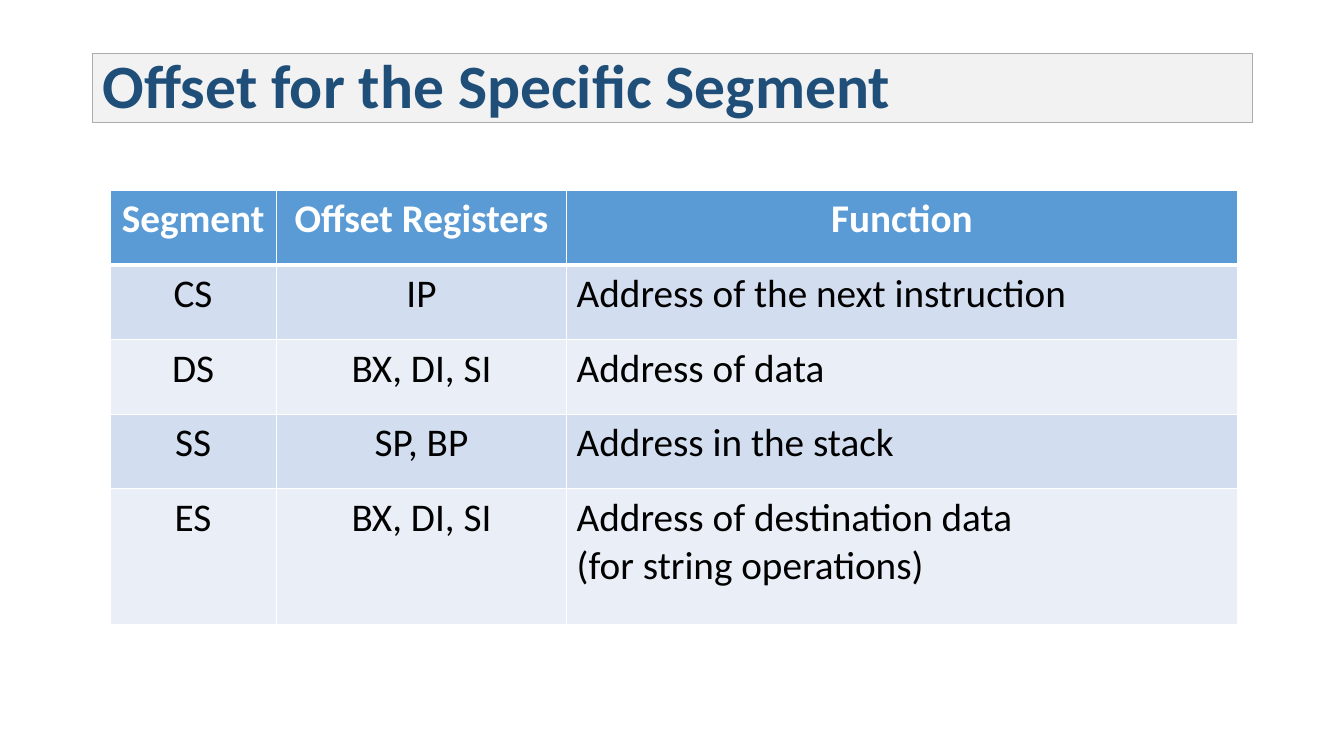
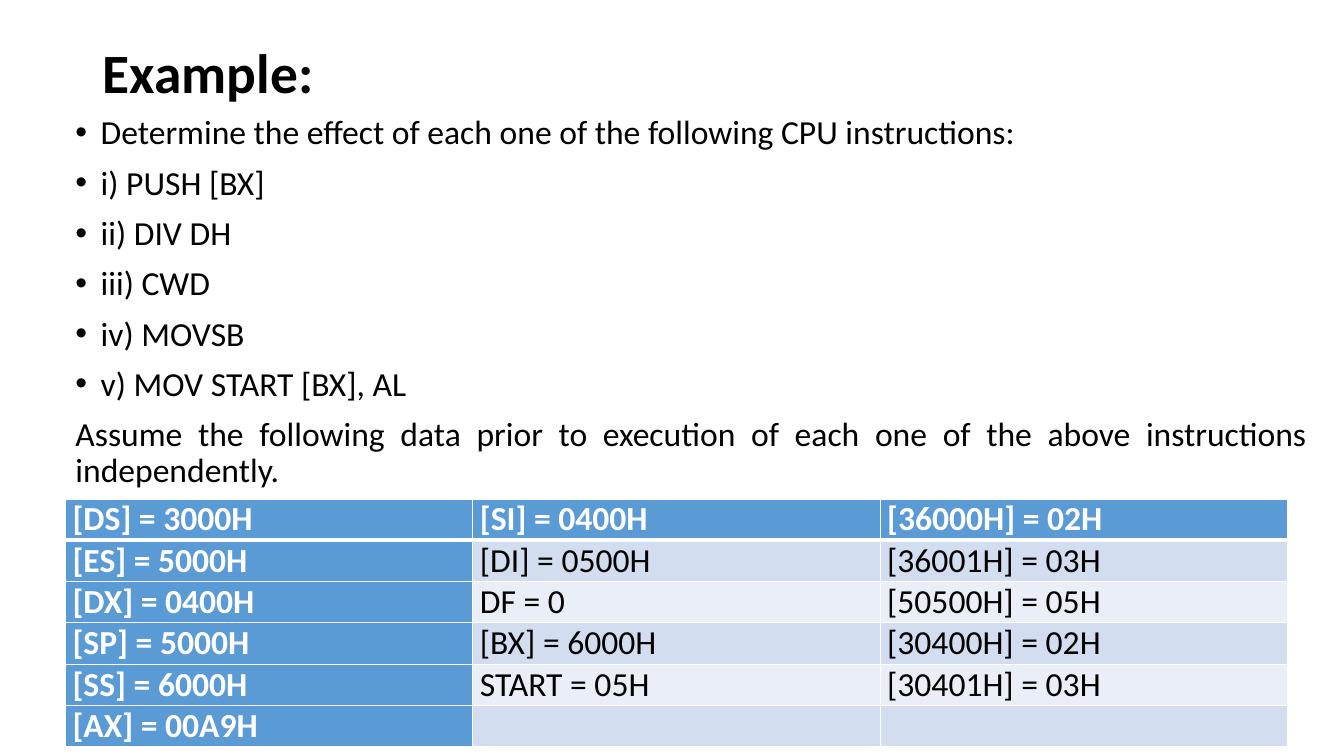
"""Build two slides on segment offsets and an instruction example."""
from dataclasses import dataclass

from lxml import etree
from pptx import Presentation
from pptx.dml.color import RGBColor
from pptx.enum import text
from pptx.oxml import ns
from pptx.util import Inches, Pt

FONT = "Calibri"
WHITE = RGBColor(0xFF, 0xFF, 0xFF)
BLACK = RGBColor(0x00, 0x00, 0x00)
NAVY = RGBColor(0x1F, 0x4E, 0x79)
PANEL = RGBColor(0xF2, 0xF2, 0xF2)
PANEL_LINE = RGBColor(0xAF, 0xAB, 0xAB)
HEADER = RGBColor(0x5B, 0x9B, 0xD5)
BANDS = (RGBColor(0xEA, 0xEF, 0xF7), RGBColor(0xD2, 0xDE, 0xEF))
LEFT, CENTER = text.PP_ALIGN.LEFT, text.PP_ALIGN.CENTER
LINE_SPACING = 0.9


@dataclass(frozen=True)
class Title:
    """Wording and look of a slide title."""
    wording: str
    top: float
    height: float
    size: float
    color: RGBColor
    boxed: bool = False


@dataclass(frozen=True)
class Grid:
    """Contents and layout of a table, with lengths in inches."""
    left: float
    top: float
    widths: tuple[float, ...]
    heights: tuple[float, ...]
    rows: tuple[tuple[str, ...], ...]
    aligns: tuple[text.PP_ALIGN, ...]
    size: float
    label_column: bool = False
    margins: tuple[float, float] = (0.1, 0.05)


SEGMENT_TITLE = Title("Offset for the Specific Segment", 0.53, 0.69, 44, NAVY, True)
EXAMPLE_TITLE = Title("Example:", 0.4, 0.7, 39.6, BLACK)

SEGMENT_GRID = Grid(
    1.09, 1.89, (1.65, 2.88, 6.65), (0.74,) * 4 + (1.35,),
    (
        ("Segment", "Offset Registers", "Function"),
        ("CS", "IP", "Address of the next instruction"),
        ("DS", "BX, DI, SI", "Address of data"),
        ("SS", "SP, BP", "Address in the stack"),
        ("ES", "BX, DI, SI", "Address of destination data\n(for string operations)"),
    ),
    (CENTER, CENTER, LEFT), 28,
)
DATA_GRID = Grid(
    0.65, 4.95, (4.04,) * 3, (0.41,) * 6,
    (
        ("[DS] = 3000H", "[SI] = 0400H", "[36000H] = 02H"),
        ("[ES] = 5000H", "[DI] = 0500H", "[36001H] = 03H"),
        ("[DX] = 0400H", "DF = 0", "[50500H] = 05H"),
        ("[SP] = 5000H", "[BX] = 6000H", "[30400H] = 02H"),
        ("[SS] = 6000H", "START = 05H", "[30401H] = 03H"),
        ("[AX] = 00A9H", "", ""),
    ),
    (LEFT,) * 3, 24, label_column=True, margins=(0.07, 0),
)

BULLETS = (
    "Determine the effect of each one of the following CPU instructions:",
    "i) PUSH [BX]",
    "ii) DIV DH",
    "iii) CWD",
    "iv) MOVSB",
    "v) MOV START [BX], AL",
)
ASSUMPTION = ("Assume the following data prior to execution of each one of "
              "the above instructions independently.")


def add_run(p, wording: str, size: float, color: RGBColor, bold: bool = False) -> None:
    """Append a formatted run to a paragraph."""
    r = p.add_run()
    r.text = wording
    r.font.name, r.font.size, r.font.bold = FONT, Pt(size), bold
    r.font.color.rgb = color


def add_titled_slide(prs, title: Title):
    """Add a title-only slide and format its title."""
    s = prs.slides.add_slide(prs.slide_layouts[5])
    sp = s.shapes.title
    sp.left, sp.top = Inches(0.92), Inches(title.top)
    sp.width, sp.height = Inches(11.5), Inches(title.height)
    if title.boxed:
        sp.fill.solid()
        sp.fill.fore_color.rgb = PANEL
        sp.line.color.rgb = PANEL_LINE
        sp.line.width = Pt(0.75)
    tf = sp.text_frame
    tf.word_wrap = True
    tf.auto_size = text.MSO_AUTO_SIZE.NONE
    tf.vertical_anchor = text.MSO_ANCHOR.MIDDLE
    p = tf.paragraphs[0]
    p.alignment, p.line_spacing = LEFT, LINE_SPACING
    add_run(p, title.wording, title.size, title.color, True)
    return s


def add_bullet(p) -> None:
    """Give a paragraph a hanging round bullet."""
    props = p._p.get_or_add_pPr()
    props.set("marL", str(Inches(0.25)))
    props.set("indent", str(-Inches(0.25)))
    etree.SubElement(props, ns.qn("a:buFont"), typeface="Arial")
    etree.SubElement(props, ns.qn("a:buChar"), char="•")


def add_body(s) -> None:
    """Add the instruction list and the assumption below it."""
    sp = s.shapes.add_textbox(Inches(0.65), Inches(1.1), Inches(12.41), Inches(3.85))
    tf = sp.text_frame
    tf.word_wrap = True
    for i, wording in enumerate((*BULLETS, ASSUMPTION)):
        p = tf.add_paragraph() if i else tf.paragraphs[0]
        p.alignment = text.PP_ALIGN.JUSTIFY
        p.line_spacing, p.space_before = LINE_SPACING, Pt(10)
        if wording in BULLETS:
            add_bullet(p)
        add_run(p, wording, 24, BLACK)


def set_borders(cell, row: int) -> None:
    """Draw white cell borders, thicker below the header row."""
    props = cell._tc.get_or_add_tcPr()
    thick = {(0, "B"), (1, "T")}
    for i, side in enumerate("LRTB"):
        width = Pt(3 if (row, side) in thick else 1)
        line = etree.Element(ns.qn(f"a:ln{side}"), w=str(width))
        fill = etree.SubElement(line, ns.qn("a:solidFill"))
        etree.SubElement(fill, ns.qn("a:srgbClr"), val=str(WHITE))
        props.insert(i, line)


def add_grid(s, grid: Grid) -> None:
    """Add a banded table with a header row."""
    table = s.shapes.add_table(
        len(grid.rows), len(grid.widths), Inches(grid.left), Inches(grid.top),
        Inches(sum(grid.widths)), Inches(sum(grid.heights))).table
    table.first_col = grid.label_column
    for column, width in zip(table.columns, grid.widths):
        column.width = Inches(width)
    for i, (row, height) in enumerate(zip(grid.rows, grid.heights)):
        table.rows[i].height = Inches(height)
        for j, wording in enumerate(row):
            cell = table.cell(i, j)
            heading = i == 0 or (grid.label_column and j == 0)
            cell.fill.solid()
            cell.fill.fore_color.rgb = HEADER if heading else BANDS[i % 2]
            set_borders(cell, i)
            cell.margin_left = cell.margin_right = Inches(grid.margins[0])
            cell.margin_top = cell.margin_bottom = Inches(grid.margins[1])
            if not wording:
                continue
            tf = cell.text_frame
            for k, line in enumerate(wording.split("\n")):
                p = tf.add_paragraph() if k else tf.paragraphs[0]
                p.alignment = CENTER if i == 0 and not grid.label_column else grid.aligns[j]
                add_run(p, line, grid.size, WHITE if heading else BLACK, heading)


def main() -> None:
    """Build and save the presentation."""
    prs = Presentation()
    prs.slide_width, prs.slide_height = Inches(13.33), Inches(7.5)
    add_grid(add_titled_slide(prs, SEGMENT_TITLE), SEGMENT_GRID)
    s = add_titled_slide(prs, EXAMPLE_TITLE)
    add_body(s)
    add_grid(s, DATA_GRID)
    prs.save("out.pptx")


if __name__ == "__main__":
    main()
